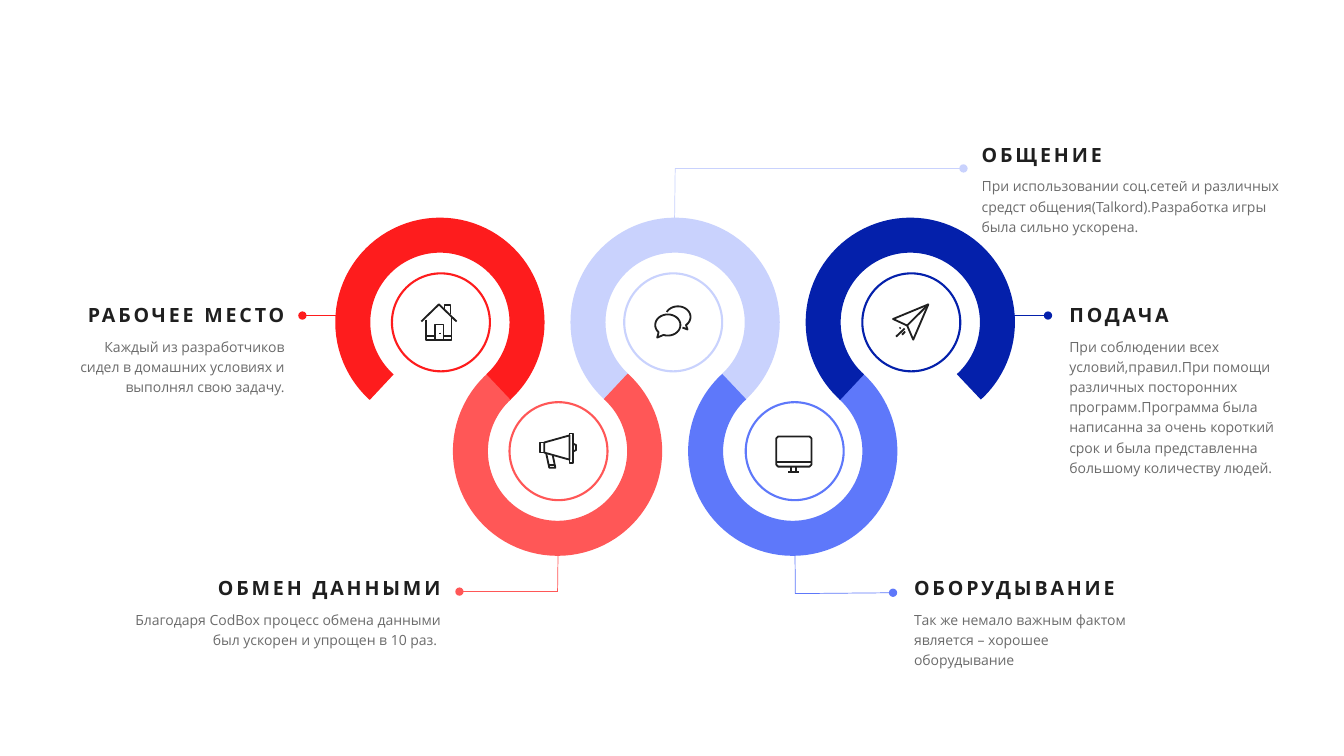
import math

from pptx import Presentation
from pptx.dml.color import RGBColor
from pptx.enum import shapes, text
from pptx.oxml import ns, xmlchemy
from pptx.util import Pt

RED = RGBColor(0xFE, 0x1C, 0x1D)
CORAL = RGBColor(0xFF, 0x57, 0x57)
PALE = RGBColor(0xC9, 0xD2, 0xFD)
BLUE = RGBColor(0x5E, 0x78, 0xFA)
NAVY = RGBColor(0x04, 0x20, 0xAB)
INK = RGBColor(0x1F, 0x1F, 0x1F)

FONT = "Open Sans"
RING, DISC = 124.5, 70       # diameters
LEFT, PITCH = 252, 84        # first ring and step to the next
TOP, LOW = 168, 260          # upper and lower row
ICON_UNIT = 0.72             # icon outlines are drawn on a grid of about 37 units

TITLE = {"size": Pt(14), "bold": True, "name": FONT}
BODY = {"size": Pt(10), "bold": False, "name": FONT}
PARAGRAPH = {"line_spacing": 1.2, "space_before": Pt(6)}
FRAME = {"word_wrap": True, "auto_size": text.MSO_AUTO_SIZE.SHAPE_TO_FIT_TEXT,
         "margin_left": Pt(9.2), "margin_right": Pt(9.2),
         "margin_top": Pt(3.6), "margin_bottom": Pt(5)}


def apply(obj, values):
    for name, value in values.items():
        setattr(obj, name, value)


def child(parent, tag, **attrs):
    el = xmlchemy.OxmlElement(tag)
    for name, value in attrs.items():
        el.set(name, value)
    parent.append(el)
    return el


def outline(sp, color, width):
    sp.line.color.rgb = color
    sp.line.width = Pt(width)


def hollow(sp, color, width):
    sp.shadow.inherit = False
    sp.fill.background()
    outline(sp, color, width)


def oval(cx, cy, rx, ry, start, end, steps=30):
    """Points along an ellipse, angles clockwise in degrees."""
    angles = [math.radians(start + (end - start) * i / steps) for i in range(steps + 1)]
    return [(cx + rx * math.cos(a), cy + ry * math.sin(a)) for a in angles]


def polylines(slide, lines, color, width):
    """One hollow freeform from several point lists in points."""
    fb = None
    for line in lines:
        (x, y), *rest = [(Pt(px), Pt(py)) for px, py in line]
        if fb is None:
            fb = slide.shapes.build_freeform(x, y, scale=1.0)
        else:
            fb.move_to(x, y)
        fb.add_line_segments(rest, close=False)
    sp = fb.convert_to_shape()
    hollow(sp, color, width)
    return sp


# Icon outlines
HOUSE = [
    [(1, 18), (18.5, 1), (36, 18)],
    [(6, 16), (6, 36), (31, 36), (31, 14)],
    [(6, 32.5), (14.5, 32.5)], [(23, 32.5), (31, 32.5)],
    [(14.5, 36), (14.5, 21), (23, 21), (23, 36)],
    [(24, 6), (24, 2), (30, 2), (30, 11)],
    [(19.5, 29), (19.5, 30)],
]
bubble = oval(13.5, 20.5, 12.5, 10.5, 137, 470)
BUBBLES = [
    bubble + [(3, 33), bubble[0]],
    oval(23.5, 12.5, 12.5, 10.5, 208, 410) + [(33, 25), (28, 23)],
]
PLANE = [
    [(1, 15.5), (36, 1), (21, 36), (15, 22), (1, 15.5)],
    [(15, 22), (36, 1)],
    [(13, 28), (10, 31)], [(12.5, 25), (4, 33)], [(8.5, 24), (7.5, 25)],
]
MEGAPHONE = [
    [(5, 11), (30, 4), (30, 28), (5, 21), (5, 11)],
    [(30, 4), (30, 2), (33.5, 2), (33.5, 31), (30, 31), (30, 28)],
    [(5, 11), (1, 11), (1, 21), (5, 21)],
    [(7, 22), (10, 36), (16, 36), (13.5, 24)], [(9.5, 33), (15.5, 33)],
    [(33.5, 12), (36.5, 13.5), (36.5, 18.5), (33.5, 20)],
]
MONITOR = [
    [(1, 3), (3, 1), (34, 1), (36, 3), (36, 29), (34, 31), (3, 31), (1, 29), (1, 3)],
    [(1, 26), (36, 26)], [(16, 31), (16, 36)], [(21, 31), (21, 36)],
    [(13, 36), (24, 36)],
]

# Back to front: column, row, colour, disc offset, icon, icon left and top
STEPS = [
    (2, TOP, PALE, -1.4, BUBBLES, 467.3, 217.4),
    (3, LOW, BLUE, 1.4, MONITOR, 553.7, 311),
    (1, LOW, CORAL, 0.7, MEGAPHONE, 385.2, 308.2),
    (0, TOP, RED, 0.7, HOUSE, 300.2, 216.7),
    (4, TOP, NAVY, 0.7, PLANE, 637.2, 216.7),
]

# Dot end first
LEADERS = [
    (PALE, [(688.2, 120.3), (482.3, 120.3), (481.8, 159)]),
    (RED, [(216, 225.4), (240, 225.4)]),
    (CORAL, [(328.2, 422.6), (398.3, 422.6), (398.6, 396)]),
    (BLUE, [(637.9, 423.4), (568.1, 424), (567.9, 396.7)]),
    (NAVY, [(748.6, 225.4), (724.5, 225.4)]),
]

LABELS = [
    (36.7, 209.5, 175.7, 78.5, True, "РАБОЧЕЕ МЕСТО",
     "Каждый из разработчиков сидел в домашних условиях и выполнял свою задачу."),
    (83.5, 404.6, 240.5, 64, True, "ОБМЕН ДАННЫМИ",
     "Благодаря CodBox процесс обмена данными был ускорен и упрощен в 10 раз. "),
    (643.7, 404.6, 175.7, 78.5, False, "ОБОРУДЫВАНИЕ",
     "Так же немало важным фактом является – хорошее оборудывание"),
    (754.6, 209.5, 175.7, 136.8, False, "ПОДАЧА",
     "При соблюдении всех условий,правил.При помощи различных посторонних "
     "программ.Программа была написанна за очень короткий срок и была "
     "представленна большому количеству людей."),
    (692, 95, 238.3, 78.5, False, "ОБЩЕНИЕ",
     "При использовании соц.сетей и различных средст общения(Talkord)."
     "Разработка игры была сильно ускорена."),
]


def add_leader(slide, color, points):
    if len(points) == 2:
        ends = [Pt(v) for point in points for v in point]
        sp = slide.shapes.add_connector(shapes.MSO_CONNECTOR.STRAIGHT, *ends)
        outline(sp, color, 0.5)
        child(sp._element.spPr, "a:effectLst")
    else:
        sp = polylines(slide, [points], color, 0.5)
    child(sp.line._get_or_add_ln(), "a:headEnd", type="oval")


def add_ring(slide, x, y, color, flipped):
    sp = slide.shapes.add_shape(shapes.MSO_SHAPE.ARC, Pt(x), Pt(y), Pt(RING), Pt(RING))
    sp.adjustments[0], sp.adjustments[1] = 79.14, 28.68
    sp.rotation = 180 if flipped else 0
    hollow(sp, color, 25)


def add_disc(slide, x, y, color, icon, icon_x, icon_y):
    sp = slide.shapes.add_shape(shapes.MSO_SHAPE.OVAL, Pt(x), Pt(y), Pt(DISC), Pt(DISC))
    hollow(sp, color, 1.5)
    placed = [[(icon_x + px * ICON_UNIT, icon_y + py * ICON_UNIT) for px, py in line]
              for line in icon]
    polylines(slide, placed, INK, 1.3)


def add_label(slide, x, y, w, h, to_right, title, body):
    tf = slide.shapes.add_textbox(Pt(x), Pt(y), Pt(w), Pt(h)).text_frame
    apply(tf, FRAME)
    for i, (words, fmt) in enumerate([(title, TITLE), (body, BODY)]):
        p = tf.add_paragraph() if i else tf.paragraphs[0]
        apply(p, PARAGRAPH)
        p.alignment = text.PP_ALIGN.RIGHT if to_right else text.PP_ALIGN.LEFT
        r = p.add_run()
        r.text = words
        apply(r.font, fmt)
        r.font.color.rgb = INK
        if fmt is TITLE:
            r._r.get_or_add_rPr().set("spc", "200")
        else:
            child(r._r.rPr.find(".//" + ns.qn("a:srgbClr")), "a:alpha", val="65000")


def main():
    prs = Presentation()
    prs.slide_width, prs.slide_height = Pt(960), Pt(540)
    slide = prs.slides.add_slide(prs.slide_layouts[6])
    for leader in LEADERS:
        add_leader(slide, *leader)
    for col, row, color, *_ in STEPS:
        add_ring(slide, LEFT + col * PITCH, row, color, row == LOW)
    inset = (RING - DISC) / 2
    for col, row, color, shift, *icon in STEPS:
        add_disc(slide, LEFT + col * PITCH + inset + shift, row + inset, color, *icon)
    for label in LABELS:
        add_label(slide, *label)
    prs.save("out.pptx")


if __name__ == "__main__":
    main()
